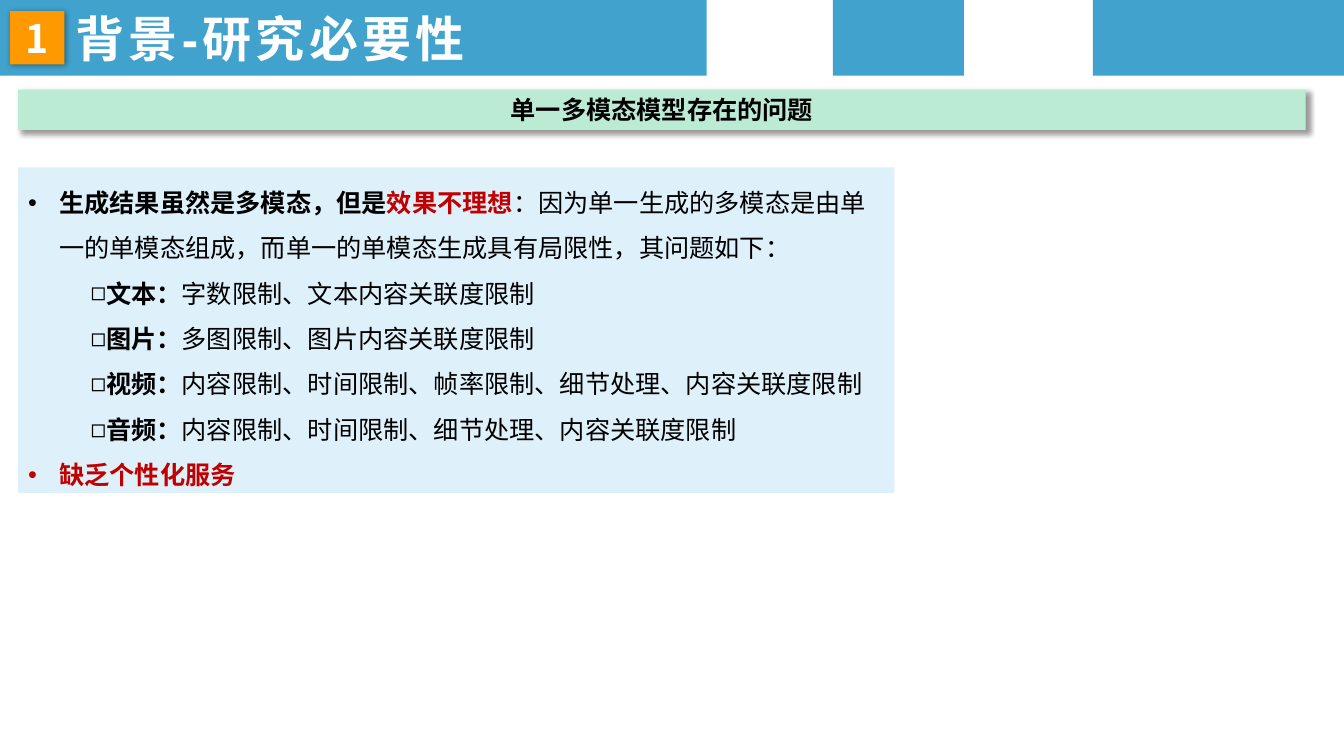
import dataclasses
import pptx
import pptx.util
import pptx.dml.color
import pptx.enum.shapes
import pptx.enum.text
import pptx.oxml
import pptx.oxml.ns

Inches = pptx.util.Inches
Pt = pptx.util.Pt
qn = pptx.oxml.ns.qn
Align = pptx.enum.text.PP_ALIGN
Anchor = pptx.enum.text.MSO_ANCHOR
NS = 'xmlns:a="http://schemas.openxmlformats.org/drawingml/2006/main"'


@dataclasses.dataclass(frozen=True)
class Theme:
    blue: str = "41A2CD"
    orange: str = "FF9900"
    mint: str = "BBEAD5"
    pale: str = "DEF0FA"
    white: str = "FFFFFF"
    black: str = "000000"
    red: str = "C00000"
    latin: str = "Arial"
    asian: str = "Noto Sans CJK SC"
    title: int = 35
    badge: int = 28
    body: int = 18


def rgb(code):
    return pptx.dml.color.RGBColor.from_string(code)


def add_xml(parent, text):
    parent.append(pptx.oxml.parse_xml(text))


class Page:
    def __init__(self, deck, theme):
        self.theme = theme
        self.slide = deck.slides.add_slide(deck.slide_layouts[6])

    def box(self, area, fill, drop=None):
        kind = pptx.enum.shapes.MSO_SHAPE.RECTANGLE
        shape = self.slide.shapes.add_shape(kind, *map(Inches, area))
        shape.fill.solid()
        shape.fill.fore_color.rgb = rgb(fill)
        shape.line.fill.background()
        shape.shadow.inherit = False
        if drop:
            effect = shape._element.spPr.find(qn("a:effectLst"))
            add_xml(effect, f'<a:outerShdw {NS} blurRad="{Pt(4)}" dist="{Pt(drop)}" '
                    'dir="2700000" algn="tl" rotWithShape="0"><a:srgbClr val="000000">'
                    '<a:alpha val="40000"/></a:srgbClr></a:outerShdw>')
        return shape

    def style(self, para, size, face, color, bold=None):
        font = para.font
        font.size = Pt(size)
        font.bold = bold
        font.color.rgb = rgb(color)
        font.name = face
        add_xml(font._element, f'<a:ea {NS} typeface="{self.theme.asian}"/>')

    def label(self, shape, text, size, face, color, anchor, align):
        frame = shape.text_frame
        frame.word_wrap = True
        frame.vertical_anchor = anchor
        para = frame.paragraphs[0]
        para.text = text
        para.alignment = align
        self.style(para, size, face, color, True)
        return para

    def title(self, area, text):
        shape = self.slide.shapes.add_textbox(*map(Inches, area))
        para = self.label(shape, text, self.theme.title, self.theme.latin,
                          self.theme.white, Anchor.MIDDLE, Align.LEFT)
        para.font._element.set("spc", "300")

    def points(self, shape, items):
        frame = shape.text_frame
        frame.word_wrap = True
        frame.vertical_anchor = Anchor.TOP
        for i, (mark, shift, runs) in enumerate(items):
            para = frame.add_paragraph() if i else frame.paragraphs[0]
            para.alignment = Align.LEFT
            para.line_spacing = 1.5
            props = para._p.get_or_add_pPr()
            props.set("marL", str(Inches(0.31)))
            props.set("indent", str(Inches(shift)))
            add_xml(props, f'<a:buFont {NS} typeface="{self.theme.latin}"/>')
            add_xml(props, f'<a:buChar {NS} char="{mark}"/>')
            self.style(para, self.theme.body, self.theme.latin, self.theme.black)
            for text, bold, color in runs:
                run = para.add_run()
                run.text = text
                run.font.bold = bold
                run.font.color.rgb = rgb(color)


def main():
    deck = pptx.Presentation()
    deck.slide_width = Inches(13.33)
    deck.slide_height = Inches(7.5)
    theme = Theme()
    page = Page(deck, theme)

    for left, width in ((10.84, 2.5), (8.26, 1.3), (0, 7.01)):
        page.box((left, 0, width, 0.75), theme.blue)
    page.title((0.65, 0.05, 6.63, 0.65), "背景-研究必要性")

    badge = page.box((0.1, 0.11, 0.54, 0.53), theme.orange, 1)
    page.label(badge, "1", theme.badge, theme.asian, theme.white,
               Anchor.MIDDLE, Align.CENTER)
    banner = page.box((0.18, 0.89, 12.77, 0.4), theme.mint, 3)
    page.label(banner, "单一多模态模型存在的问题", theme.body, theme.asian,
               theme.black, Anchor.TOP, Align.CENTER)

    limits = {
        "文本：": "字数限制、文本内容关联度限制",
        "图片：": "多图限制、图片内容关联度限制",
        "视频：": "内容限制、时间限制、帧率限制、细节处理、内容关联度限制",
        "音频：": "内容限制、时间限制、细节处理、内容关联度限制",
    }
    intro = [
        ("生成结果虽然是多模态，但是", True, theme.black),
        ("效果不理想", True, theme.red),
        ("：因为单一生成的多模态是由单一的单模态组成，"
         "而单一的单模态生成具有局限性，其问题如下：", False, theme.black),
    ]
    items = [("•", -0.31, intro)]
    items += [("◻", 0.31, [(name, True, theme.black), (text, False, theme.black)])
              for name, text in limits.items()]
    items.append(("•", -0.31, [("缺乏个性化服务", True, theme.red)]))
    page.points(page.box((0.18, 1.66, 8.69, 3.23), theme.pale), items)

    deck.save("out.pptx")


if __name__ == "__main__":
    main()
